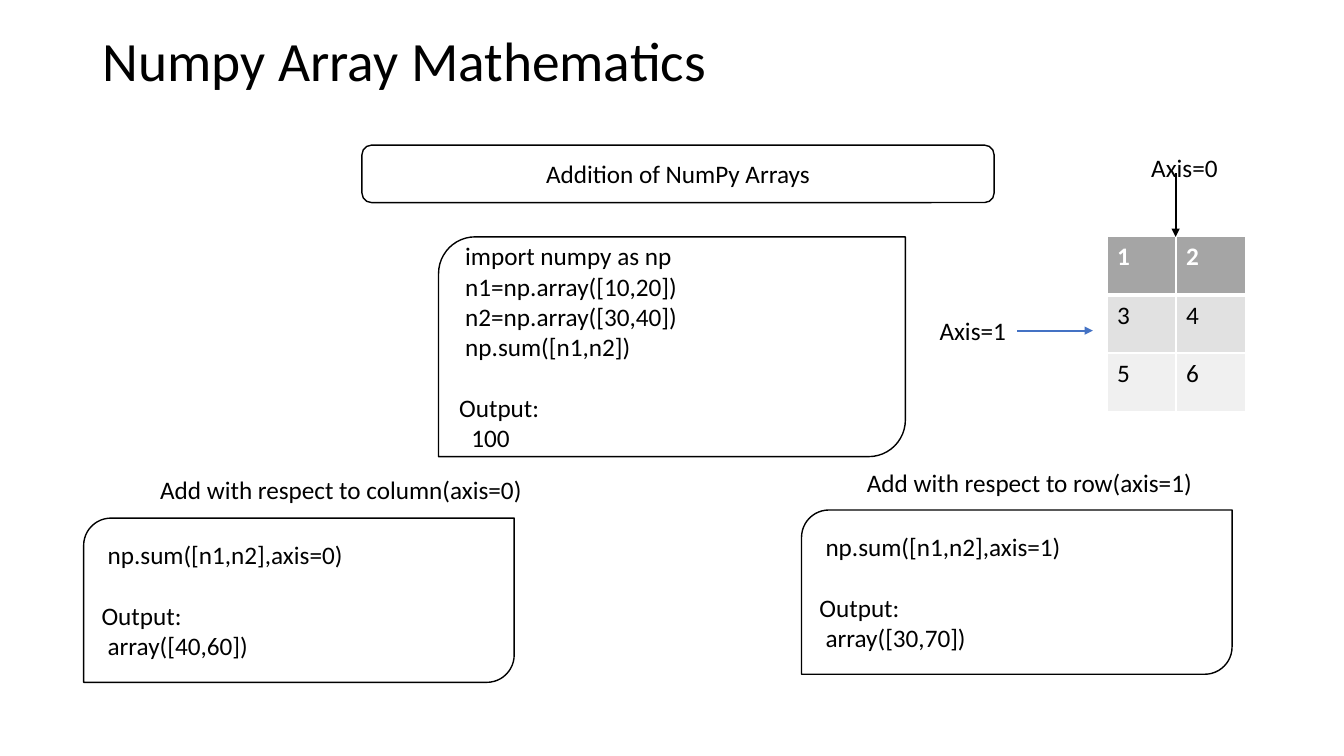
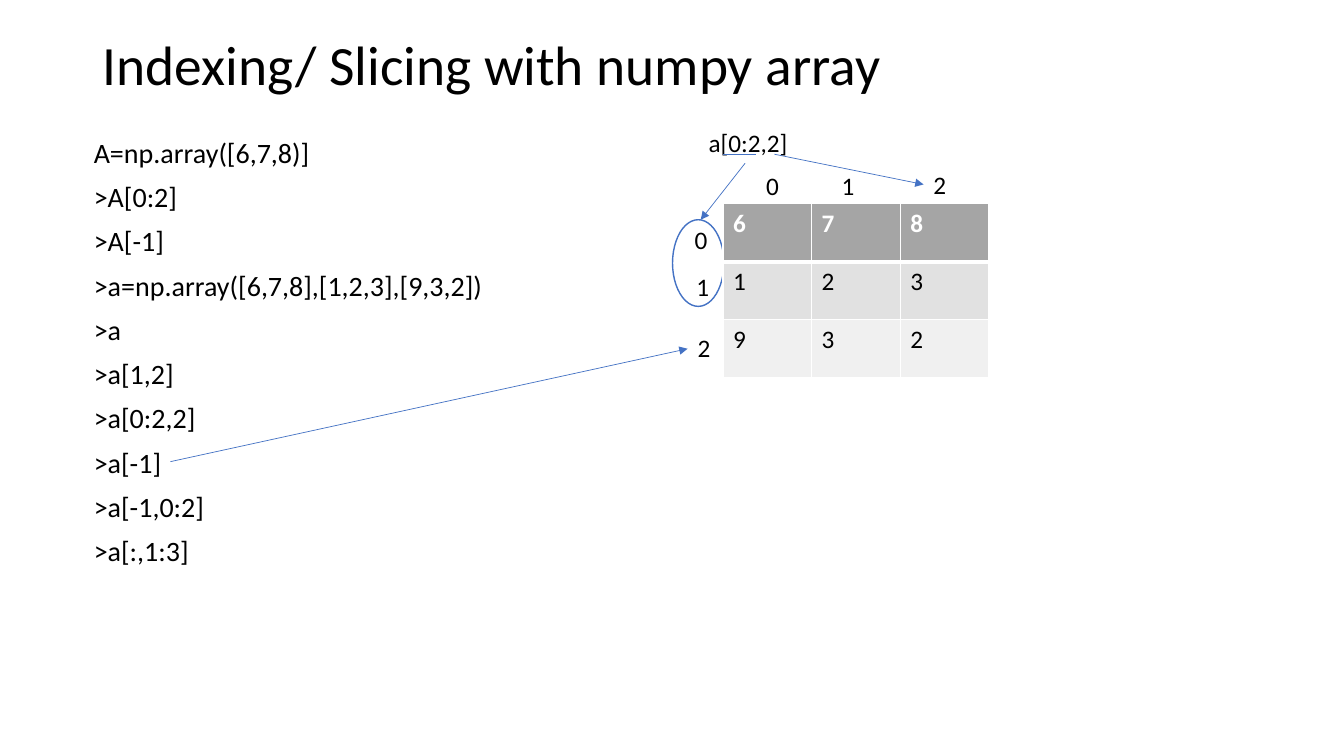
from dataclasses import dataclass
from lxml import etree
from pptx import Presentation
from pptx.dml.color import RGBColor
from pptx.enum.shapes import MSO_CONNECTOR, MSO_SHAPE
from pptx.enum.text import MSO_ANCHOR, MSO_AUTO_SIZE, PP_ALIGN
from pptx.oxml.ns import qn
from pptx.util import Inches, Pt


@dataclass(frozen=True)
class Theme:
    font: str = "Calibri"
    ink: str = "000000"
    paper: str = "FFFFFF"
    accent: str = "4472C4"
    rows: tuple = ("A5A5A5", "E1E1E1", "F0F0F0")
    title: float = 39.6
    body: float = 20
    text: float = 18
    code_gap: float = 22
    code_indent: float = 0.06


T = Theme()

MATH = {
    "title": ("Numpy Array Mathematics", (0.92, 0.4, 6.39, 0.46)),
    "heading": ("Addition of NumPy Arrays", (3.59, 1.44, 6.27, 0.57)),
    "code": [
        ((4.35, 2.35, 4.63, 2.18),
         ["import numpy as np", "n1=np.array([10,20])",
          "n2=np.array([30,40])", "np.sum([n1,n2])"], "100", 2),
        ((0.83, 5.14, 4.27, 1.63), ["np.sum([n1,n2],axis=0)"], "array([40,60])", 1),
        ((7.95, 5.06, 4.27, 1.63), ["np.sum([n1,n2],axis=1)"], "array([30,70])", 1),
    ],
    "table": ((10.98, 2.35, 1.37, 1.73), [[1, 2], [3, 4], [5, 6]]),
    "arrows": [((11.66, 1.72), (11.66, 2.35), T.ink),
               ((10.09, 3.28), (10.84, 3.28), T.accent)],
    "labels": [("Add with respect to column(axis=0)", 1.49, 4.66, 3.83),
               ("Add with respect to row(axis=1)", 8.5, 4.59, 3.46),
               ("Axis=0", 11.32, 1.46, 0.87),
               ("Axis=1", 9.22, 3.08, 0.87)],
}

SLICING = {
    "title": ("Indexing/ Slicing with numpy array", (0.92, 0.4, 11.5, 0.55)),
    "body": (["A=np.array([6,7,8)]", ">A[0:2]", ">A[-1]",
              ">a=np.array([6,7,8],[1,2,3],[9,3,2])", ">a", ">a[1,2]",
              ">a[0:2,2]", ">a[-1]", ">a[-1,0:2]", ">a[:,1:3]"],
             (0.83, 1.33, 11.59, 5.43)),
    "row_ring": (6.67, 2.18, 0.51, 0.86),
    "table": ((7.17, 2.02, 2.64, 1.73), [[6, 7, 8], [1, 2, 3], [9, 3, 2]]),
    "labels": [("0", 7.5, 1.64, 0.33), ("1", 8.25, 1.64, 0.33),
               ("2", 9.16, 1.63, 0.33), ("0", 6.79, 2.18, 0.33),
               ("1", 6.81, 2.64, 0.33), ("2", 6.82, 3.25, 0.33),
               ("a[0:2,2]", 6.93, 1.21, 0.99)],
    "arrows": [((7.39, 1.62), (6.95, 2.18)),
               ((7.68, 1.53), (9.16, 1.83)),
               ((1.69, 4.58), (6.82, 3.46))],
    "underline": ((7.17, 1.53), (7.5, 1.53)),
}


def rgb(color):
    return RGBColor.from_string(color)


def inches(box):
    return [Inches(v) for v in box]


def style(p, size=T.text, color=T.ink, bold=False, align=PP_ALIGN.LEFT):
    p.alignment = align
    for r in p.runs:
        r.font.name = T.font
        r.font.size = Pt(size)
        r.font.bold = bold
        r.font.color.rgb = rgb(color)


def fill_placeholder(sp, lines, box, size, before, anchor):
    sp.left, sp.top, sp.width, sp.height = inches(box)
    tf = sp.text_frame
    tf.text = "\n".join(lines)
    tf.auto_size = MSO_AUTO_SIZE.NONE
    tf.vertical_anchor = anchor
    for p in tf.paragraphs:
        style(p, size)
        p.line_spacing = 0.9
        p.space_before = Pt(before)
        pPr = p._p.get_or_add_pPr()
        pPr.set("marL", "0")
        pPr.set("indent", "0")
        etree.SubElement(pPr, qn("a:buNone"))


def add_slide(layout, title):
    s = prs.slides.add_slide(prs.slide_layouts[layout])
    text, box = title
    fill_placeholder(s.shapes.title, [text], box, T.title, 0, MSO_ANCHOR.MIDDLE)
    return s


def add_outline(s, kind, box, color=T.ink):
    sp = s.shapes.add_shape(kind, *inches(box))
    sp.shadow.inherit = False
    sp.fill.solid()
    sp.fill.fore_color.rgb = rgb(T.paper)
    sp.line.color.rgb = rgb(color)
    sp.line.width = Pt(1)
    return sp


def add_code(s, box, code, output, depth):
    tf = add_outline(s, MSO_SHAPE.ROUND_2_DIAG_RECTANGLE, box).text_frame
    tf.text = "\n".join([*code, "Output:", output])
    tf.vertical_anchor = MSO_ANCHOR.MIDDLE
    depths = [1] * len(code) + [0, depth]
    for p, level in zip(tf.paragraphs, depths):
        style(p)
        p._p.get_or_add_pPr().set("marL", str(Inches(level * T.code_indent)))
    tf.paragraphs[len(code)].space_before = Pt(T.code_gap)


def add_label(s, text, x, y, w):
    tf = s.shapes.add_textbox(*inches((x, y, w, 0.4))).text_frame
    tf.text = text
    tf.word_wrap = False
    tf.auto_size = MSO_AUTO_SIZE.SHAPE_TO_FIT_TEXT
    style(tf.paragraphs[0])


def add_line(s, start, end, color, width, arrow=True):
    line = s.shapes.add_connector(MSO_CONNECTOR.STRAIGHT, *inches(start + end))
    line.line.color.rgb = rgb(color)
    line.line.width = Pt(width)
    if arrow:
        etree.SubElement(line.line._get_or_add_ln(), qn("a:tailEnd"), type="triangle")
    etree.SubElement(line._element.spPr, qn("a:effectLst"))


def set_borders(cell, row):
    tcPr = cell._tc.get_or_add_tcPr()
    widths = {"L": 1, "R": 1, "T": 3 if row == 1 else 1, "B": 3 if row == 0 else 1}
    for side, width in widths.items():
        ln = etree.SubElement(tcPr, qn(f"a:ln{side}"), w=str(Pt(width)))
        fill = etree.SubElement(ln, qn("a:solidFill"))
        etree.SubElement(fill, qn("a:srgbClr"), val=T.paper)


def add_grid(s, box, values):
    table = s.shapes.add_table(len(values), len(values[0]), *inches(box)).table
    table.horz_banding = False
    for i, row in enumerate(values):
        for j, value in enumerate(row):
            cell = table.cell(i, j)
            cell.text = str(value)
            header = i == 0
            style(cell.text_frame.paragraphs[0],
                  color=T.paper if header else T.ink, bold=header)
            set_borders(cell, i)
            cell.fill.solid()
            cell.fill.fore_color.rgb = rgb(T.rows[i])


def build_math():
    s = add_slide(5, MATH["title"])
    text, box = MATH["heading"]
    tf = add_outline(s, MSO_SHAPE.ROUNDED_RECTANGLE, box).text_frame
    tf.text = text
    tf.vertical_anchor = MSO_ANCHOR.MIDDLE
    style(tf.paragraphs[0], align=PP_ALIGN.CENTER)
    for block in MATH["code"]:
        add_code(s, *block)
    add_grid(s, *MATH["table"])
    for start, end, color in MATH["arrows"]:
        add_line(s, start, end, color, 1.5)
    for label in MATH["labels"]:
        add_label(s, *label)


def build_slicing():
    s = add_slide(1, SLICING["title"])
    lines, box = SLICING["body"]
    fill_placeholder(s.placeholders[1], lines, box, T.body, 10, MSO_ANCHOR.TOP)
    add_outline(s, MSO_SHAPE.OVAL, SLICING["row_ring"], T.accent)
    add_grid(s, *SLICING["table"])
    for label in SLICING["labels"]:
        add_label(s, *label)
    for start, end in SLICING["arrows"]:
        add_line(s, start, end, T.accent, 0.5)
    add_line(s, *SLICING["underline"], T.accent, 0.5, arrow=False)


prs = Presentation()
prs.slide_width, prs.slide_height = Inches(13.33), Inches(7.5)
build_math()
build_slicing()
prs.save("out.pptx")
